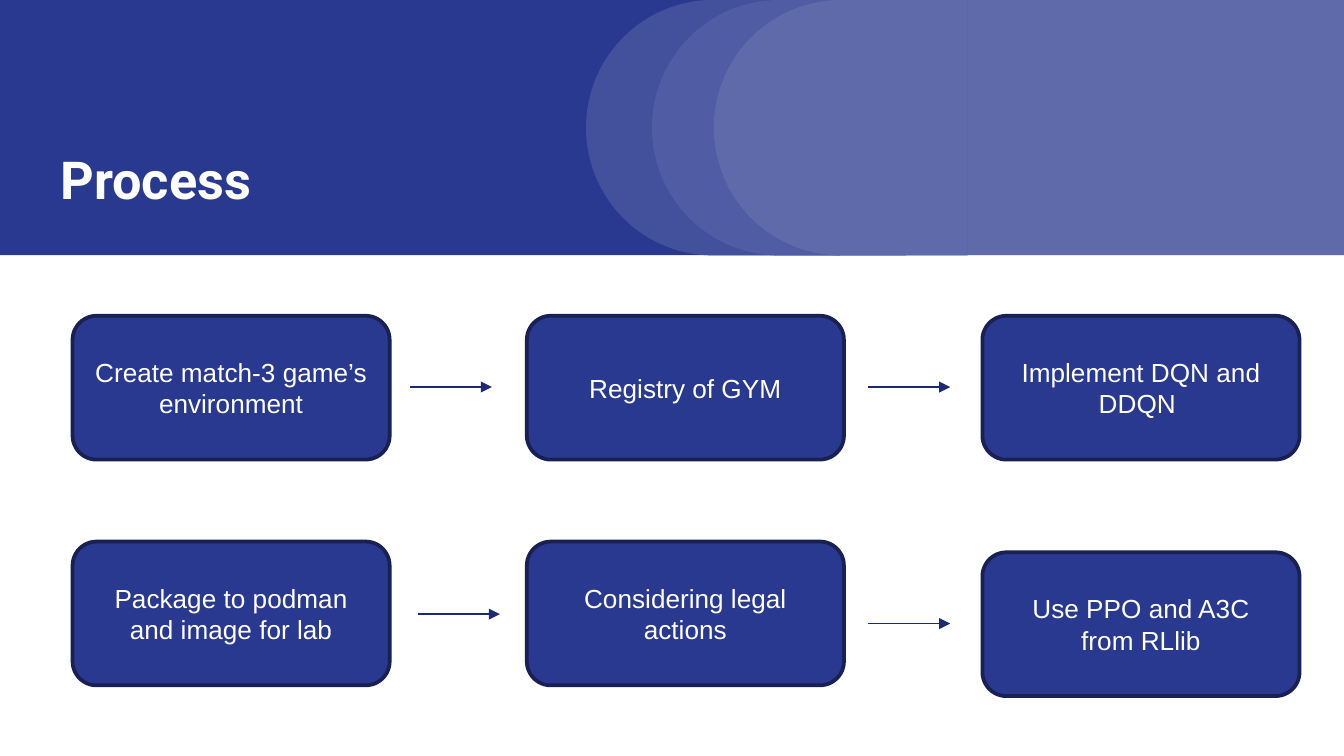
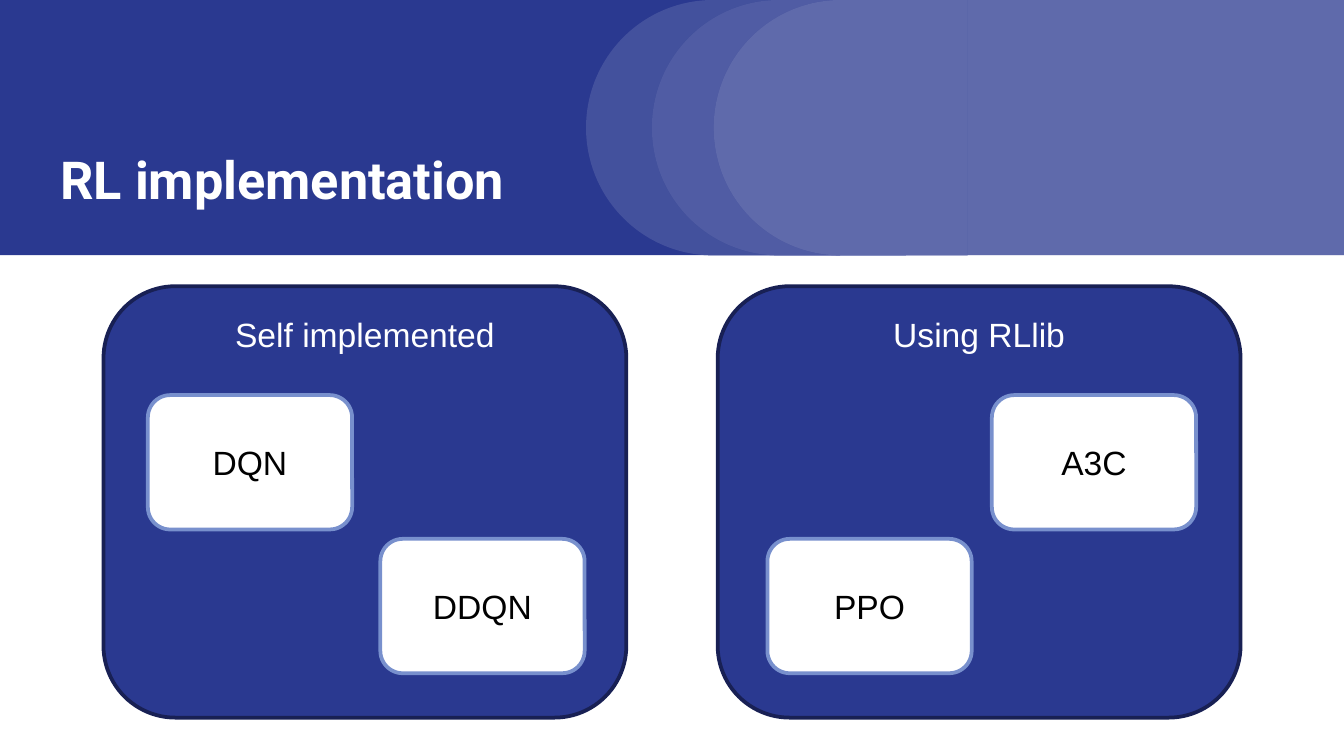
from lxml import etree
from pptx import Presentation
from pptx import util as u
from pptx.dml.color import RGBColor
from pptx.enum import shapes, text
from pptx.oxml.ns import qn

PX = 9144
NAVY, EDGE, ARROW = "2A3990", "182054", "1D2973"
WHITE, BLACK, SKY = "FFFFFF", "000000", "7890CD"
BAND = (0, 0, 1000, 190)
KIND = shapes.MSO_SHAPE


def px(*lengths):
    return [u.Emu(length * PX) for length in lengths]


def colour(value):
    return RGBColor.from_string(value)


def paint(owner, kind, box, fill, opacity=100):
    part = owner.shapes.add_shape(kind, *px(*box))
    part.shadow.inherit = False
    part.fill.solid()
    part.fill.fore_color.rgb = colour(fill)
    part.line.fill.background()
    if opacity < 100:
        tint = part._element.spPr.find(qn("a:solidFill"))[0]
        etree.SubElement(tint, qn("a:alpha"), val=str(opacity * 1000))
    return part


def style(frame, size, font, ink, align, anchor):
    frame.word_wrap = True
    frame.vertical_anchor = anchor
    paragraph = frame.paragraphs[0]
    paragraph.alignment = align
    paragraph.font.size = u.Pt(size)
    paragraph.font.name = font
    paragraph.font.color.rgb = colour(ink)
    return paragraph


def card(slide, box, label, size, fill=NAVY, edge=EDGE, ink=WHITE,
         anchor=text.MSO_ANCHOR.MIDDLE):
    part = paint(slide, KIND.ROUNDED_RECTANGLE, box, fill)
    part.line.color.rgb = colour(edge)
    part.line.width = u.Pt(2)
    part.text_frame.text = label
    style(part.text_frame, size, "Arial", ink, text.PP_ALIGN.CENTER, anchor)


def arrow(slide, left, middle, length):
    link = slide.shapes.add_connector(
        shapes.MSO_CONNECTOR.STRAIGHT, *px(left, middle, left + length, middle))
    link.line.color.rgb = colour(ARROW)
    link.line.width = u.Pt(0.75)
    etree.SubElement(link.line._get_or_add_ln(), qn("a:tailEnd"), type="triangle")
    etree.SubElement(link._element.spPr, qn("a:effectLst"))


def band(slide, layout, box):
    left, top, width, height = box
    parts = [paint(slide, KIND.RECTANGLE, box, NAVY),
             paint(slide, KIND.RECTANGLE, (left + 716, top, width - 716, height), WHITE, 25)]
    for offset, opacity in ((436, 12), (485, 18), (531, 25)):
        for fill, strength in ((NAVY, 100), (WHITE, opacity)):
            curve = paint(slide, KIND.FLOWCHART_DELAY,
                          (left + offset, top, 189, height), fill, strength)
            curve.rotation = 180
            parts.append(curve)
    for index, part in enumerate(parts, 2):
        layout.shapes._spTree.insert(index, part._element)


def heading(slide, box, words):
    left, top, width, height = box
    title = slide.shapes.title
    title.left, title.top, title.width, title.height = px(
        left + 35, top + 16, 389, height - 40)
    frame = title.text_frame
    frame.text = words
    frame.auto_size = text.MSO_AUTO_SIZE.NONE
    frame.margin_left = frame.margin_right = u.Inches(0.1)
    frame.margin_top = frame.margin_bottom = u.Inches(0.1)
    paragraph = style(frame, 28, "Roboto", WHITE, text.PP_ALIGN.LEFT,
                      text.MSO_ANCHOR.BOTTOM)
    paragraph.font.bold = True


def process_row(slide, box, steps, drops, arrows):
    left, top, width, height = box
    step_width = 236
    pitch = (width - step_width) / (len(steps) - 1)
    for column, (step, drop) in enumerate(zip(steps, drops)):
        card(slide, (left + round(column * pitch), top + drop, step_width, height), step, 14)
    for offset, drop in arrows:
        arrow(slide, left + offset, top + height // 2 + drop, 61)


def family(slide, box, name, methods):
    left, top, width, height = box
    card(slide, box, name, 18, anchor=text.MSO_ANCHOR.TOP)
    for method, x, y in methods:
        card(slide, (left + x, top + y, 152, 100), method, 18, WHITE, SKY, BLACK)


def process(slide):
    process_row(slide, (54, 235, 913, 107),
                ("Create match-3 game’s environment", "Registry of GYM",
                 "Implement DQN and DDQN "),
                (0, 0, 0), ((251, 0), (592, 0)))
    process_row(slide, (54, 403, 913, 107),
                ("Package to podman and image for lab", "Considering legal actions",
                 "Use PPO and A3C from RLlib"),
                (0, 0, 8), ((257, 1), (592, 8)))


def implementation(slide):
    family(slide, (77, 213, 389, 321), "Self implemented",
           (("DQN", 33, 81), ("DDQN", 206, 188)))
    family(slide, (534, 213, 389, 321), "Using RLlib",
           (("A3C", 204, 81), ("PPO", 37, 188)))


def main():
    deck = Presentation()
    deck.slide_width = u.Inches(10)
    deck.slide_height = deck.slide_width * 9 // 16
    layout = deck.slide_layouts[5]
    pages = (("Process", process), ("RL implementation", implementation))
    for number, (title, fill_page) in enumerate(pages):
        slide = deck.slides.add_slide(layout)
        if number == 0:
            band(slide, layout, BAND)
        heading(slide, BAND, title)
        fill_page(slide)
    deck.save("out.pptx")


if __name__ == "__main__":
    main()
